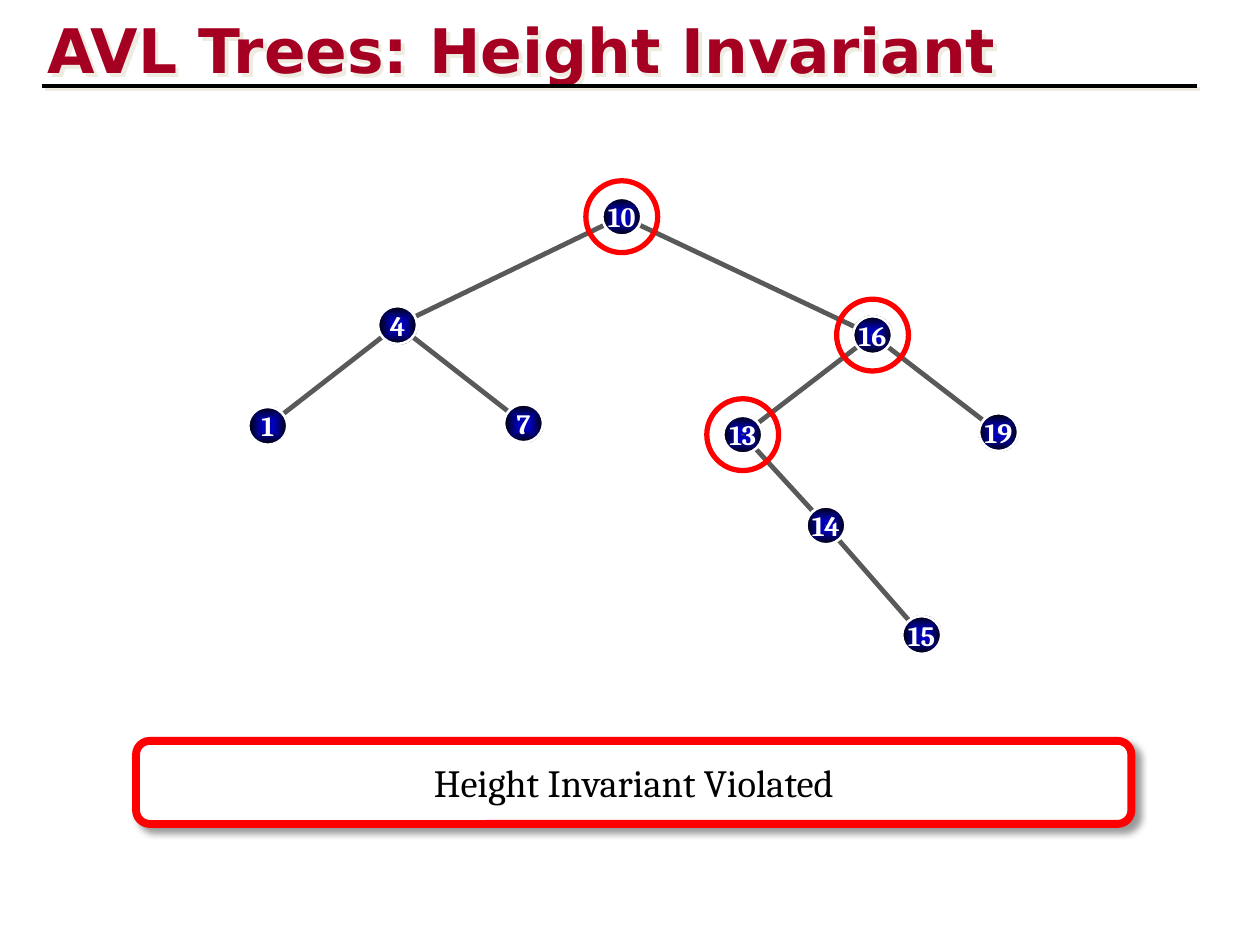
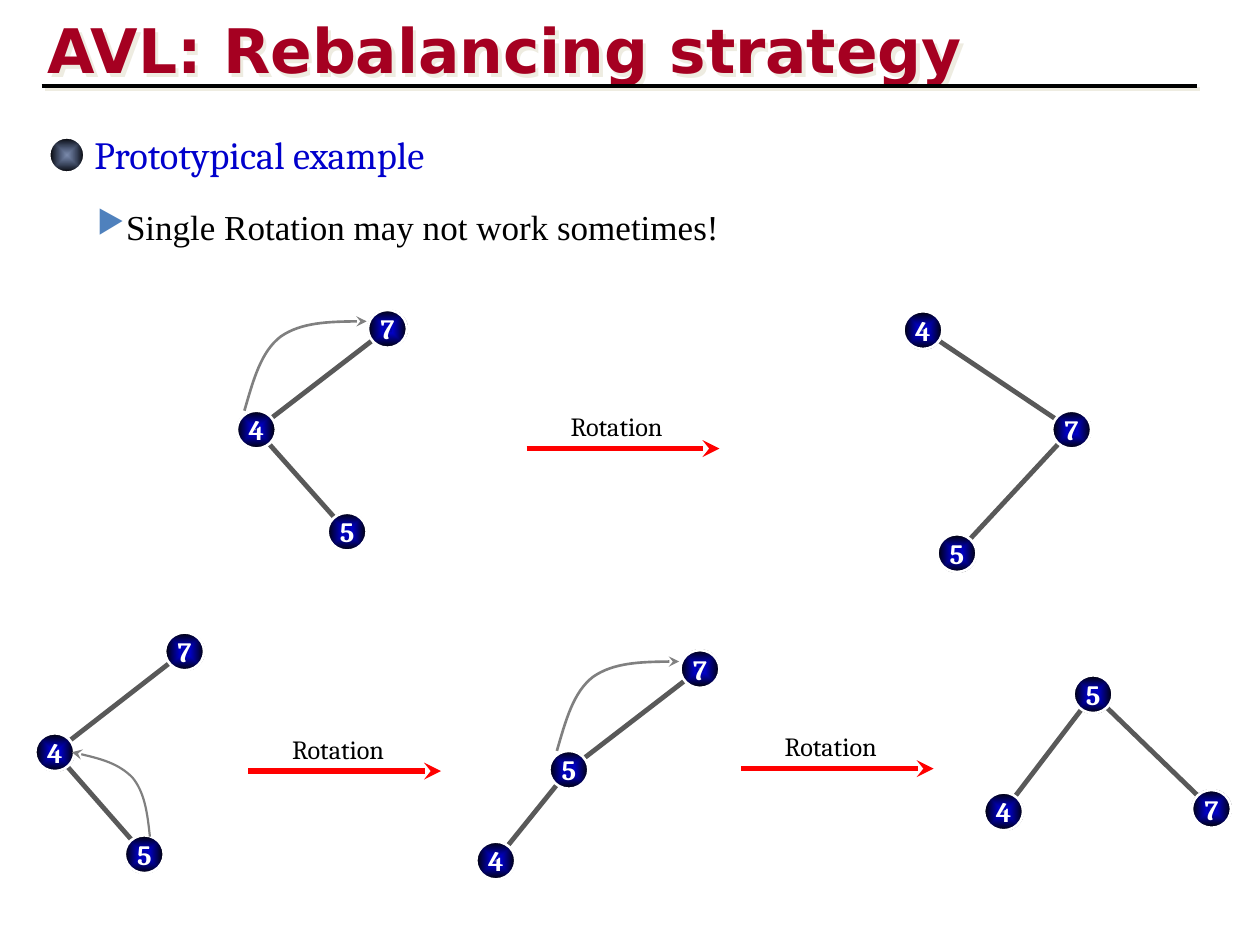
from lxml.etree import SubElement
from pptx import Presentation
from pptx.dml.color import RGBColor
from pptx.enum.shapes import MSO_CONNECTOR, MSO_SHAPE
from pptx.enum.text import MSO_ANCHOR, PP_ALIGN
from pptx.oxml import parse_xml
from pptx.oxml.ns import nsdecls, qn
from pptx.util import Inches, Pt

COLOURS = {
    "title": "A50021",
    "shade": "EEECE1",
    "black": "000000",
    "white": "FFFFFF",
    "edge": "595959",
    "curve": "808080",
    "alert": "FF0000",
    "heading": "0000CC",
    "bullet": "4F81BD",
}
SERIF = "Cambria"
NODE_WIDTH, NODE_HEIGHT = 0.31, 0.3
RING_SIZE = 0.57

# Gradient stops from the centre outwards: position, colour, opacity (percent)
NODE_STOPS = [(0, "0000CC", 100), (0, "002060", 25), (6, "0000C0", 100),
              (10, "0000B7", 100), (16, "0000AB", 100), (21, "0000CC", 100),
              (100, "000000", 100)]
BALL_STOPS = [(0, "002060", 51), (100, "000000", 100)]

# Shadows: colour, opacity (percent), blur and distance (points)
TITLE_SHADOW = ("shade", 100, 0, 2.8)
BANNER_SHADOW = ("black", 40, 4, 4)

# Trees: left and top of each node, then parent-child pairs
SEARCH_TREE = (
    {10: (4.78, 1.57), 4: (3, 2.43), 1: (1.97, 3.23), 7: (4, 3.21),
     16: (6.77, 2.51), 13: (5.74, 3.3), 19: (7.77, 3.28),
     14: (6.4, 4.02), 15: (7.16, 4.89)},
    [(10, 4), (10, 16), (4, 1), (4, 7), (16, 13), (16, 19), (13, 14), (14, 15)],
)
ROTATION_TREES = [
    ({7: (2.92, 2.46), 4: (1.88, 3.26), 5: (2.6, 4.07)}, [(7, 4), (4, 5)]),
    ({4: (7.17, 2.47), 7: (8.35, 3.26), 5: (7.44, 4.24)}, [(4, 7), (7, 5)]),
    ({7: (1.31, 5.02), 4: (0.28, 5.82), 5: (0.99, 6.63)}, [(7, 4), (4, 5)]),
    ({7: (5.4, 5.16), 5: (4.36, 5.96), 4: (3.78, 6.68)}, [(7, 5), (5, 4)]),
    ({5: (8.52, 5.36), 4: (7.81, 6.29), 7: (9.46, 6.27)}, [(5, 4), (5, 7)]),
]
# Bezier points relative to the start of each curve
RISING_CURVE = [(0.07, -0.24), (0.13, -0.47), (0.29, -0.59),
                (0.45, -0.7), (0.71, -0.71), (0.97, -0.71)]
RETURN_CURVE = [(-0.02, -0.18), (-0.04, -0.35), (-0.14, -0.47),
                (-0.25, -0.58), (-0.43, -0.63), (-0.62, -0.67)]


def colour(name):
    return RGBColor.from_string(COLOURS[name])


def set_shadow(shape, shadow=None):
    """Give the shape the named shadow, or none at all; call after fill and line."""
    effects = SubElement(shape.element.spPr, qn("a:effectLst"))
    if shadow:
        name, opacity, blur, distance = shadow
        outer = SubElement(effects, qn("a:outerShdw"), blurRad=str(Pt(blur)),
                           dist=str(Pt(distance)), dir="2700000", algn="tl", rotWithShape="0")
        tint = SubElement(outer, qn("a:srgbClr"), val=COLOURS[name])
        SubElement(tint, qn("a:alpha"), val=str(opacity * 1000))


def set_line(shape, name, width):
    shape.line.color.rgb = colour(name)
    shape.line.width = Pt(width)


def add_arrowhead(shape):
    SubElement(shape.line._get_or_add_ln(), qn("a:tailEnd"), type="stealth")


def fill_radial(shape, stops):
    stop_xml = "".join(
        f'<a:gs pos="{position * 1000}"><a:srgbClr val="{value}">'
        f'<a:alpha val="{opacity * 1000}"/></a:srgbClr></a:gs>'
        for position, value, opacity in stops)
    gradient = parse_xml(
        f'<a:gradFill {nsdecls("a")} rotWithShape="1"><a:gsLst>{stop_xml}</a:gsLst>'
        '<a:path path="shape"><a:fillToRect l="50000" t="50000" r="50000" b="50000"/>'
        '</a:path></a:gradFill>')
    shape.element.spPr.find(qn("a:prstGeom")).addnext(gradient)


def write(shape, text, size, name, font=SERIF, bold=False, align=PP_ALIGN.LEFT):
    paragraph = shape.text_frame.paragraphs[0]
    paragraph.text = text
    paragraph.alignment = align
    paragraph.font.name = font
    paragraph.font.size = Pt(size)
    paragraph.font.bold = bold
    paragraph.font.color.rgb = colour(name)
    return paragraph


def add_text(page, area, text, size, name, **style):
    box = page.shapes.add_textbox(*map(Inches, area))
    box.text_frame.word_wrap = True
    write(box, text, size, name, **style)
    return box


def add_line(page, start, end, name, width, shadow=None):
    line = page.shapes.add_connector(MSO_CONNECTOR.STRAIGHT, *map(Inches, start + end))
    set_line(line, name, width)
    set_shadow(line, shadow)
    return line


def add_ellipse(page, area, line_name, width, stops=None):
    ellipse = page.shapes.add_shape(MSO_SHAPE.OVAL, *map(Inches, area))
    if stops:
        fill_radial(ellipse, stops)
    else:
        ellipse.fill.background()
    set_line(ellipse, line_name, width)
    set_shadow(ellipse)
    return ellipse


def add_node(page, key, corner):
    node = add_ellipse(page, corner + (NODE_WIDTH, NODE_HEIGHT), "white", 1.5, NODE_STOPS)
    frame = node.text_frame
    frame.word_wrap = False
    frame.vertical_anchor = MSO_ANCHOR.MIDDLE
    frame.margin_left = frame.margin_right = frame.margin_top = frame.margin_bottom = 0
    write(node, str(key), 16, "white", bold=True, align=PP_ALIGN.CENTER)


def centre(corner):
    left, top = corner
    return left + NODE_WIDTH / 2, top + NODE_HEIGHT / 2


def add_tree(page, nodes, edges):
    """Draw the edges between node centres, then the nodes over their ends."""
    for parent, child in edges:
        add_line(page, centre(nodes[parent]), centre(nodes[child]), "edge", 2.75)
    for key, corner in nodes.items():
        add_node(page, key, corner)


def add_ring(page, corner):
    x, y = centre(corner)
    half = RING_SIZE / 2
    add_ellipse(page, (x - half, y - half, RING_SIZE, RING_SIZE), "alert", 3)


def add_curved_arrow(page, start, offsets, width):
    x, y = start
    builder = page.shapes.build_freeform(Inches(x), Inches(y))
    builder.add_line_segments(
        [(Inches(x + dx), Inches(y + dy)) for dx, dy in offsets], close=False)
    arrow = builder.convert_to_shape()
    # Every three straight segments become one Bezier segment
    outline = next(arrow.element.iter(qn("a:path")))
    segments = outline.findall(qn("a:lnTo"))
    for first in range(0, len(segments), 3):
        bezier = SubElement(outline, qn("a:cubicBezTo"))
        for segment in segments[first:first + 3]:
            bezier.append(segment[0])
            outline.remove(segment)
    arrow.fill.background()
    set_line(arrow, "curve", width)
    add_arrowhead(arrow)
    set_shadow(arrow)


def add_rotation_arrow(page, x, y):
    add_arrowhead(add_line(page, (x, y), (x + 1.53, y), "alert", 3.25))
    add_text(page, (x + 0.25, y - 0.35, 1.04, 0.35), "Rotation", 15, "black")


def add_banner(page, text):
    banner = page.shapes.add_shape(
        MSO_SHAPE.ROUNDED_RECTANGLE, *map(Inches, (1.08, 5.88, 7.9, 0.66)))
    banner.fill.solid()
    banner.fill.fore_color.rgb = colour("white")
    set_line(banner, "alert", 4.5)
    set_shadow(banner, BANNER_SHADOW)
    banner.text_frame.vertical_anchor = MSO_ANCHOR.MIDDLE
    write(banner, text, 22, "black", align=PP_ALIGN.CENTER)


def add_heading(page, text):
    add_ellipse(page, (0.39, 1.09, 0.28, 0.28), "white", 1.5, BALL_STOPS)
    add_text(page, (0.65, 0.99, 9.07, 0.47), text, 22, "heading")


def add_bullet(page, text):
    box = add_text(page, (0.67, 1.58, 8.74, 0.44), text, 20, "black", font="Times New Roman")
    paragraph = box.text_frame.paragraphs[0]
    paragraph.space_before = Pt(6)
    properties = paragraph._p.get_or_add_pPr()
    properties.set("marL", str(Inches(0.23)))
    properties.set("indent", str(Inches(-0.23)))
    bullet_xml = (f'<a:buClr {nsdecls("a")}><a:srgbClr val="{COLOURS["bullet"]}"/></a:buClr>',
                  f'<a:buSzPct {nsdecls("a")} val="90000"/>',
                  f'<a:buChar {nsdecls("a")} char="▶"/>')
    defaults = properties.find(qn("a:defRPr"))
    for xml in bullet_xml:
        defaults.addprevious(parse_xml(xml))


def add_page(deck, title):
    page = deck.slides.add_slide(deck.slide_layouts[6])
    box = add_text(page, (0.28, 0.01, 8.5, 0.67), title, 35.1, "title",
                   font="DejaVu Sans", bold=True)
    box.text_frame.margin_top = Inches(0.09)
    set_shadow(box, TITLE_SHADOW)
    add_line(page, (0.33, 0.68), (9.5, 0.68), "black", 2.25, TITLE_SHADOW)
    return page


def build_invariant_page(deck):
    page = add_page(deck, "AVL Trees: Height Invariant")
    nodes, edges = SEARCH_TREE
    add_tree(page, nodes, edges)
    for key in (10, 13, 16):
        add_ring(page, nodes[key])
    add_banner(page, "Height Invariant Violated")


def build_rebalancing_page(deck):
    page = add_page(deck, "AVL: Rebalancing strategy")
    add_heading(page, "Prototypical example")
    add_bullet(page, "Single Rotation may not work sometimes!")
    for nodes, edges in ROTATION_TREES:
        add_tree(page, nodes, edges)
    for start in ((1.94, 3.26), (4.42, 5.96)):
        add_curved_arrow(page, start, RISING_CURVE, 1.5)
    add_curved_arrow(page, (1.19, 6.64), RETURN_CURVE, 1.25)
    for x, y in ((4.18, 3.56), (1.97, 6.12), (5.88, 6.1)):
        add_rotation_arrow(page, x, y)


def main():
    deck = Presentation()
    deck.slide_width, deck.slide_height = Inches(10), Inches(7.5)
    build_invariant_page(deck)
    build_rebalancing_page(deck)
    deck.save("out.pptx")


if __name__ == "__main__":
    main()
